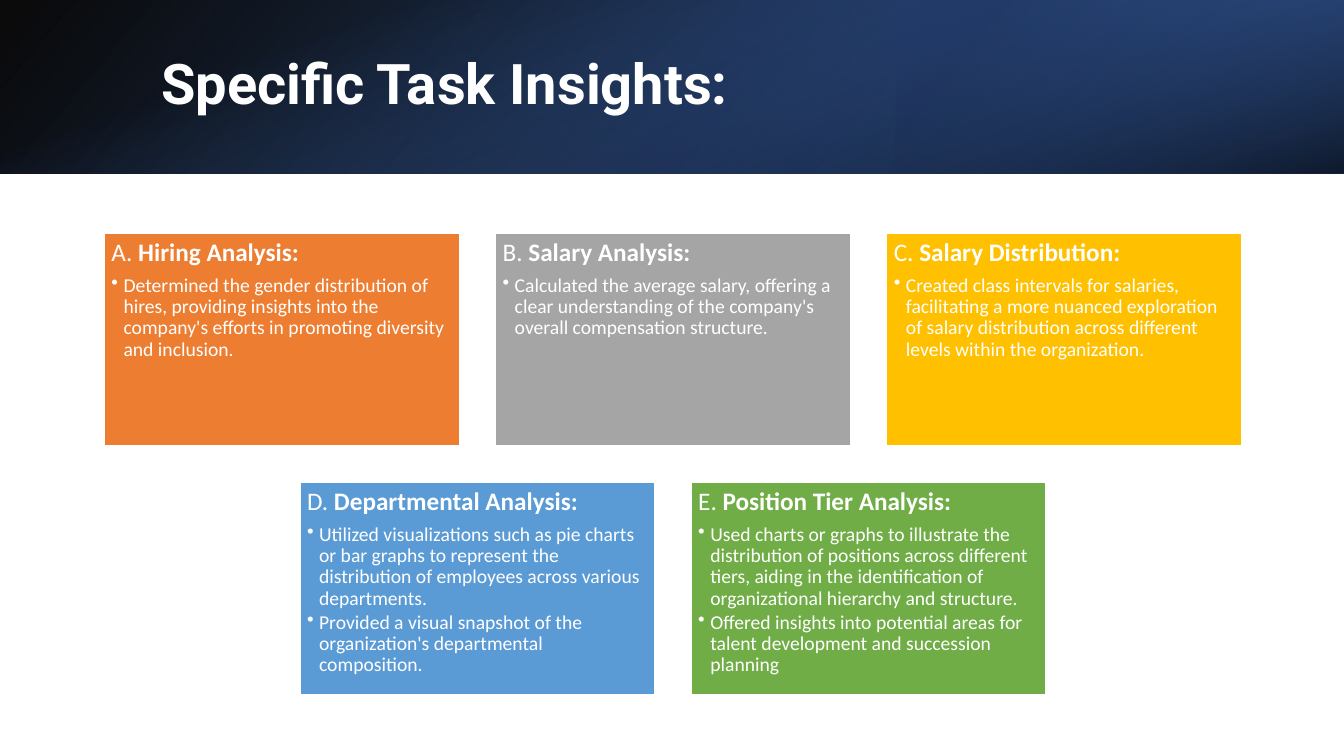
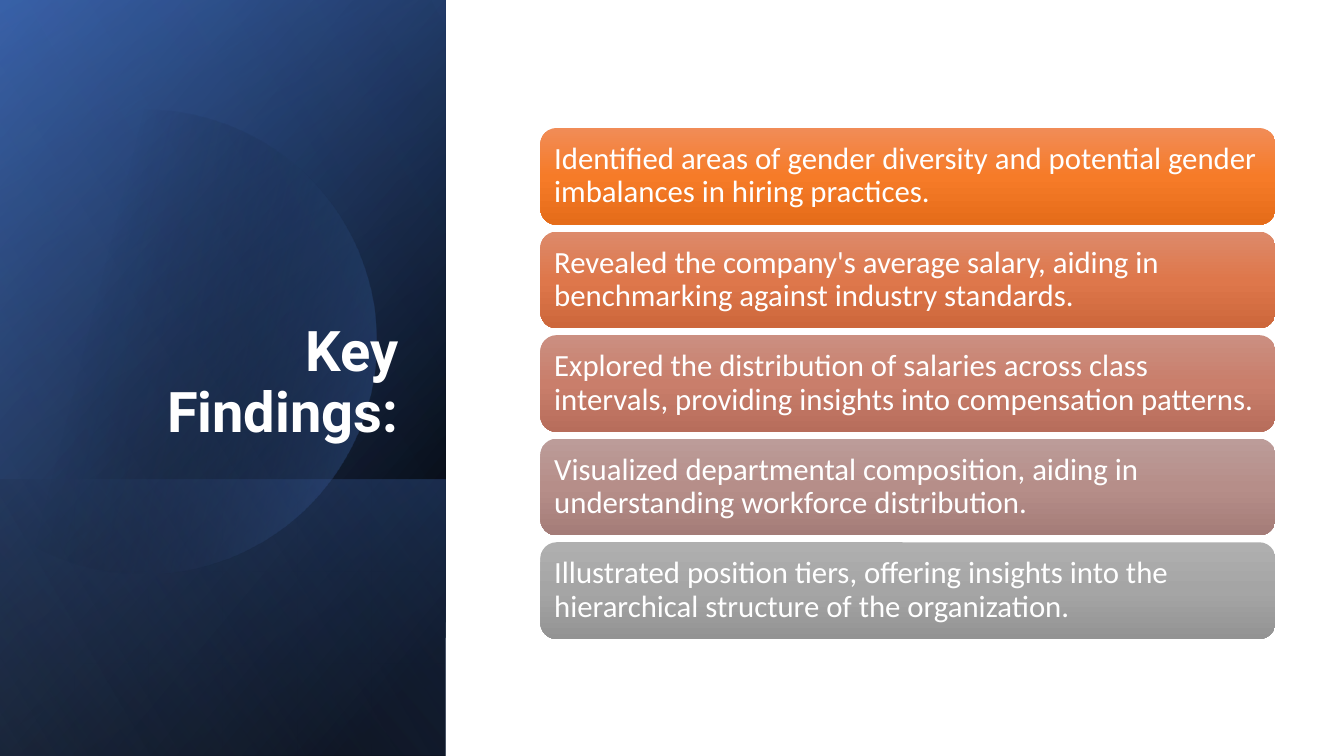
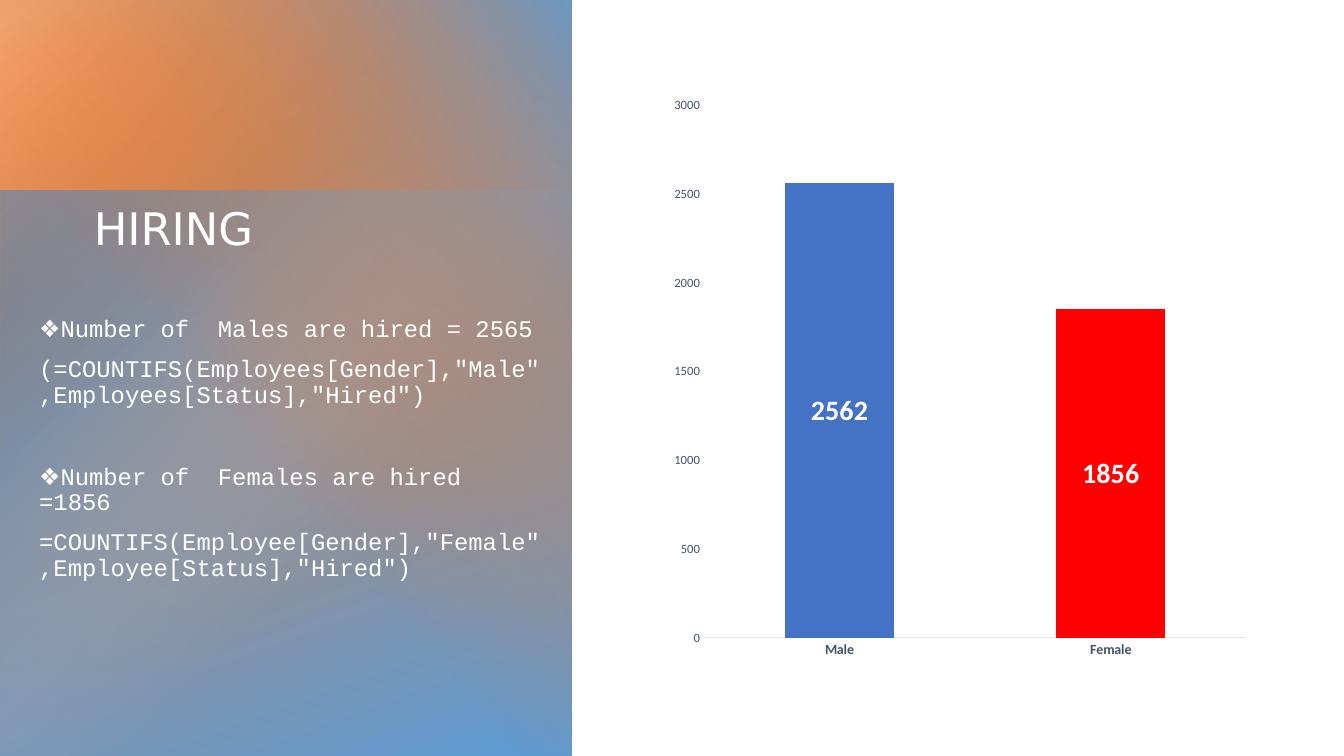
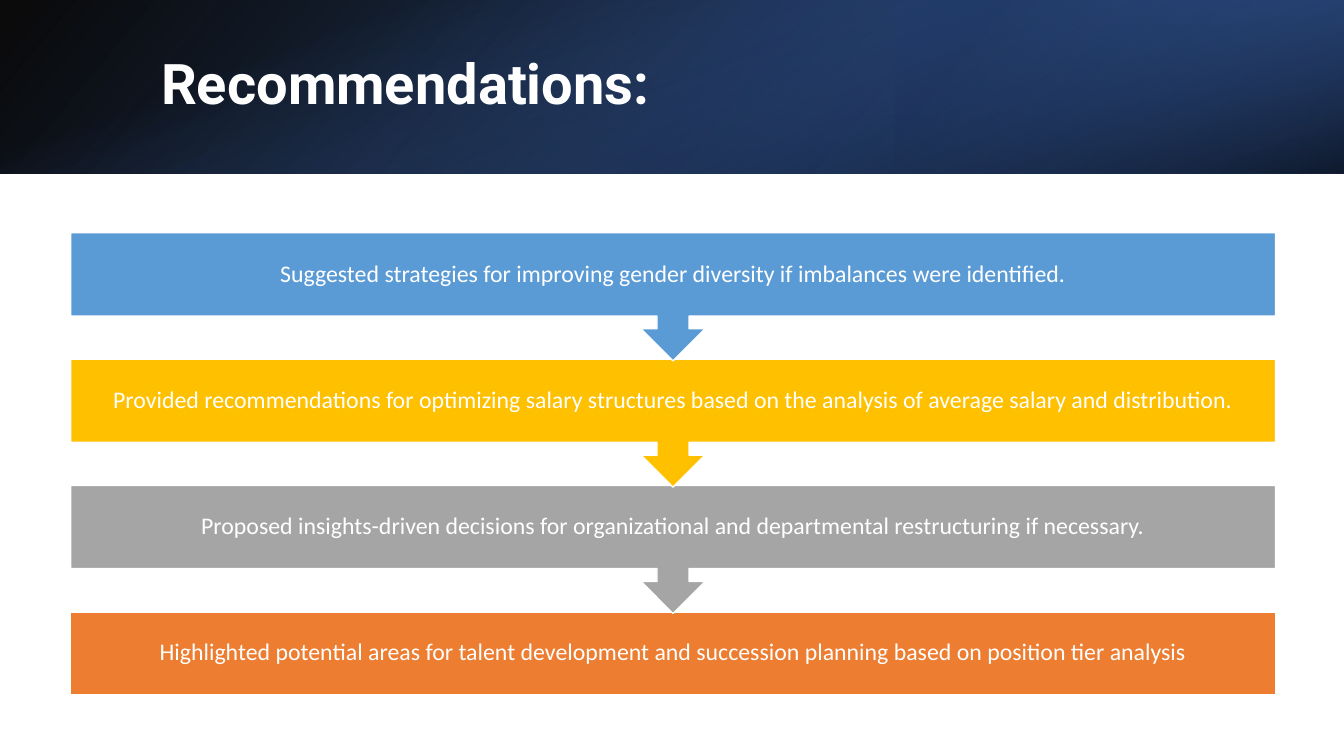
from math import acos, cos, pi, sin

from pptx import Presentation
from pptx.chart.data import CategoryChartData
from pptx.dml.color import RGBColor
from pptx.enum.chart import XL_CHART_TYPE, XL_LABEL_POSITION, XL_TICK_MARK
from pptx.enum.shapes import MSO_SHAPE as SHAPE
from pptx.enum.text import MSO_ANCHOR as ANCHOR, MSO_AUTO_SIZE, PP_ALIGN as ALIGN
from pptx.oxml import parse_xml
from pptx.oxml.ns import nsdecls, qn
from pptx.util import Inches, Pt

SLIDE_W, SLIDE_H = 13.33, 7.5
HEADER_H = 1.72
SIDE_W = 4.42
HIRING_W = 5.67
TITLE_ONLY = 5

COLORS = {
    "white": "FFFFFF", "black": "000000", "red": "FF0000",
    "orange": "ED7D31", "peach": "F4B183", "gray": "A5A5A5", "gold": "FFC000",
    "blue": "4472C4", "sky": "5B9BD5", "green": "70AD47",
    "navy": "203864", "deep": "2F5597", "pale": "8FAADC",
    "steel": "2E75B6", "ice": "9DC3E6", "slate": "44546A", "rule": "E0E5EB",
}
BODY_FONT, TITLE_FONT, CODE_FONT = "Calibri", "Roboto", "Courier New"


def rgb(name):
    return RGBColor.from_string(COLORS[name])


def set_gradient(sp, stops, angle=None):
    """Fill with (position, hex, alpha) stops; no angle means a circle from the top left."""
    sp.shadow.inherit = False
    sp.line.fill.background()
    sp.fill.background()
    gs = "".join(
        f'<a:gs pos="{pos * 1000}"><a:srgbClr val="{color}">'
        f'<a:alpha val="{alpha * 1000}"/></a:srgbClr></a:gs>'
        for pos, color, alpha in stops)
    if angle is None:
        course = '<a:path path="circle"><a:fillToRect r="100000" b="100000"/></a:path>'
    else:
        course = f'<a:lin ang="{angle * 60000}" scaled="0"/>'
    grad = parse_xml(f'<a:gradFill {nsdecls("a")} rotWithShape="1">'
                     f'<a:gsLst>{gs}</a:gsLst>{course}</a:gradFill>')
    sp_pr = sp.element.spPr
    sp_pr.replace(sp_pr.find(qn("a:noFill")), grad)


def add_panel(slide, box, stops, angle=None, rot=0, flip=False):
    """Add a gradient rectangle that covers box once it has been rotated."""
    x, y, w, h = box
    if rot % 180 == 90:
        x, y, w, h = x + (w - h) / 2, y + (h - w) / 2, h, w
    sp = slide.shapes.add_shape(SHAPE.RECTANGLE, *map(Inches, (x, y, w, h)))
    sp.rotation = rot
    if flip:
        sp.element.spPr.get_or_add_xfrm().set("flipH", "1")
    set_gradient(sp, [(pos, COLORS[c], alpha) for pos, c, alpha in stops], angle)


def add_block(slide, kind, box, color=None):
    sp = slide.shapes.add_shape(kind, *map(Inches, box))
    sp.shadow.inherit = False
    if color:
        sp.fill.solid()
        sp.fill.fore_color.rgb = rgb(color)
        sp.line.color.rgb = rgb("white")
        sp.line.width = Pt(1)
    return sp


def format_frame(tf, anchor, inset=None):
    tf.word_wrap = True
    tf.auto_size = MSO_AUTO_SIZE.NONE
    tf.vertical_anchor = anchor
    if inset is not None:
        tf.margin_left = tf.margin_top = tf.margin_right = tf.margin_bottom = Inches(inset)


def add_text(tf, runs, size, align=ALIGN.LEFT, before=0, after=0, bullet=None):
    """Add a white paragraph of (text, font, bold) runs."""
    p = tf.paragraphs[0] if not tf.paragraphs[0].runs else tf.add_paragraph()
    p.alignment = align
    p.line_spacing = 0.9
    p.space_before, p.space_after = Pt(before), Pt(after)
    if bullet:
        p_pr = p._p.get_or_add_pPr()
        p_pr.set("marL", str(Inches(0.12)))
        p_pr.set("indent", str(-Inches(0.12)))
        p_pr.append(parse_xml(f'<a:buChar {nsdecls("a")} char="{bullet}"/>'))
    for text, font, bold in runs:
        r = p.add_run()
        r.text = text
        r.font.name, r.font.size, r.font.bold = font, Pt(size), bold
        r.font.color.rgb = rgb("white")


def add_title(slide, text, box, size=40, font=TITLE_FONT, bold=True,
              anchor=ANCHOR.MIDDLE, align=ALIGN.LEFT):
    """Place the title placeholder above the panels drawn so far."""
    title = slide.shapes.title
    title.left, title.top, title.width, title.height = map(Inches, box)
    slide.shapes.element.append(title.element)
    format_frame(title.text_frame, anchor)
    add_text(title.text_frame, [(text, font, bold)], size, align)


def new_slide(prs):
    return prs.slides.add_slide(prs.slide_layouts[TITLE_ONLY])


def header_slide(prs, title):
    slide = new_slide(prs)
    band = (0, 0, SLIDE_W, HEADER_H)
    third = SLIDE_W / 3
    add_panel(slide, band, [(0, "black", 96), (100, "deep", 100)], 140, flip=True)
    add_panel(slide, (SLIDE_W - third, 0, third, HEADER_H),
              [(19, "navy", 68), (100, "blue", 79)], 320, rot=180, flip=True)
    add_panel(slide, band, [(23, "blue", 0), (99, "black", 74)], 340, rot=90)
    add_title(slide, title, (1.5, 0.38, 10.98, 0.96))
    return slide


def add_card(slide, box, color, letter, heading, points):
    tf = add_block(slide, SHAPE.RECTANGLE, box, color).text_frame
    format_frame(tf, ANCHOR.TOP, 0.07)
    add_text(tf, [(f"{letter}. ", BODY_FONT, False), (heading, BODY_FONT, True)], 18, after=6)
    for point in points:
        add_text(tf, [(point, BODY_FONT, False)], 14, after=2, bullet="•")


def add_card_rows(slide, box, rows):
    """Lay out rows of equal cards, each row centred in box."""
    x, y, w, h = box
    gap, card_w = 0.36, 3.52
    card_h = (h - gap * (len(rows) - 1)) / len(rows)
    for i, row in enumerate(rows):
        left = x + (w - len(row) * card_w - (len(row) - 1) * gap) / 2
        for j, card in enumerate(row):
            add_card(slide, (left + j * (card_w + gap), y + i * (card_h + gap), card_w, card_h),
                     *card)


def insights_slide(prs):
    slide = header_slide(prs, "Specific Task Insights:")
    add_card_rows(slide, (1.04, 2.31, 11.27, 4.58), [
        [("orange", "A", "Hiring Analysis:", [
            "Determined the gender distribution of hires, providing insights into the "
            "company's efforts in promoting diversity and inclusion."]),
         ("gray", "B", "Salary Analysis:", [
             "Calculated the average salary, offering a clear understanding of the "
             "company's overall compensation structure."]),
         ("gold", "C", "Salary Distribution:", [
             "Created class intervals for salaries, facilitating a more nuanced exploration "
             "of salary distribution across different levels within the organization."])],
        [("sky", "D", "Departmental Analysis:", [
            "Utilized visualizations such as pie charts or bar graphs to represent the "
            "distribution of employees across various departments.",
            "Provided a visual snapshot of the organization's departmental composition."]),
         ("green", "E", "Position Tier Analysis:", [
             "Used charts or graphs to illustrate the distribution of positions across "
             "different tiers, aiding in the identification of organizational hierarchy "
             "and structure.",
             "Offered insights into potential areas for talent development and succession "
             "planning"])],
    ])


def add_cut_circle(slide, cx, cy, radius):
    """Add a translucent circle cut off by the left edge of the slide."""
    end = acos(-cx / radius)
    steps = 120
    angles = [-end + 2 * end * i / steps for i in range(steps + 1)]
    points = [(Inches(cx + radius * cos(a)), Inches(cy + radius * sin(a))) for a in angles]
    builder = slide.shapes.build_freeform(*points[0])
    builder.add_line_segments(points[1:], close=True)
    set_gradient(builder.convert_to_shape(),
                 [(29, COLORS["black"], 0), (100, COLORS["blue"], 43)], 14)


def add_side_panel(slide, box):
    x, y, w, h = box
    foot = 2.74
    add_panel(slide, box, [(8, "black", 100), (100, "deep", 100)], 50, rot=90, flip=True)
    add_panel(slide, box, [(0, "black", 0), (99, "blue", 46)], 30, rot=90, flip=True)
    add_panel(slide, (x, y + h - foot, w, foot),
              [(2, "blue", 29), (100, "black", 30)], 130, rot=90, flip=True)
    add_cut_circle(slide, 1.43, 3.39, 2.3)
    add_panel(slide, box, [(0, "black", 0), (99, "pale", 11)], 120, rot=90, flip=True)


def add_findings(slide, box, findings):
    x, y, w, h = box
    bar_h = 0.96
    pitch = (h - bar_h) / (len(findings) - 1)
    for i, (shades, text) in enumerate(findings):
        sp = add_block(slide, SHAPE.ROUNDED_RECTANGLE, (x, y + i * pitch, w, bar_h))
        set_gradient(sp, [(pos, c, 100) for pos, c in zip((0, 50, 100), shades)], 90)
        format_frame(sp.text_frame, ANCHOR.MIDDLE, 0.09)
        add_text(sp.text_frame, [(text, BODY_FONT, False)], 22)


def findings_slide(prs):
    slide = new_slide(prs)
    add_side_panel(slide, (0, 0, SIDE_W, SLIDE_H))
    add_title(slide, "Key Findings:", (0.64, 1.84, 3.41, 2.62),
              anchor=ANCHOR.BOTTOM, align=ALIGN.RIGHT)
    add_findings(slide, (5.36, 1.27, 7.29, 5.07), [
        (("F18C57", "F67B28", "E56C19"),
         "Identified areas of gender diversity and potential gender imbalances in hiring "
         "practices."),
        (("DD8A6A", "DE774B", "CD673B"),
         "Revealed the company's average salary, aiding in benchmarking against industry "
         "standards."),
        (("CB8F81", "C97E6B", "B76D5B"),
         "Explored the distribution of salaries across class intervals, providing insights "
         "into compensation patterns."),
        (("BC9C99", "B68E89", "A47C78"),
         "Visualized departmental composition, aiding in understanding workforce "
         "distribution."),
        (("AFAFAF", "A5A5A5", "939393"),
         "Illustrated position tiers, offering insights into the hierarchical structure of "
         "the organization."),
    ])


def add_warm_panel(slide, box):
    x, y, w, h = box
    top = 1.89
    add_panel(slide, box, [(7, "orange", 100), (100, "sky", 100)], 70)
    add_panel(slide, (x, y + top, w, h - top),
              [(0, "steel", 100), (60, "ice", 0)], rot=180)
    add_panel(slide, (x, y, 4.17, h), [(3, "peach", 78), (42, "orange", 0)], 50)
    add_panel(slide, box, [(0, "sky", 86), (57, "orange", 0)], 230, rot=270)


def add_formulas(slide, box, entries):
    tf = slide.shapes.add_textbox(*map(Inches, box)).text_frame
    format_frame(tf, ANCHOR.TOP)
    for i, (label, formula) in enumerate(entries):
        add_text(tf, [("❖", "Arial", False), (label, CODE_FONT, False)], 17,
                 before=40 if i else 0)
        add_text(tf, [(formula, CODE_FONT, False)], 17, before=10)


def format_font(font, size, color, bold=False):
    font.name, font.size, font.bold = BODY_FONT, Pt(size), bold
    font.color.rgb = rgb(color)


def add_hiring_chart(slide, box):
    data = CategoryChartData()
    data.categories = ["Male", "Female"]
    data.add_series("Series 1", (2562, 1856))
    chart = slide.shapes.add_chart(XL_CHART_TYPE.COLUMN_STACKED, *map(Inches, box), data).chart
    chart.has_legend = chart.has_title = False
    format_font(chart.font, 10, "black")

    cat_axis, val_axis = chart.category_axis, chart.value_axis
    for axis in (cat_axis, val_axis):
        axis.has_major_gridlines = False
        axis.major_tick_mark = axis.minor_tick_mark = XL_TICK_MARK.NONE
    format_font(cat_axis.tick_labels.font, 10, "slate", True)
    cat_axis.format.line.color.rgb = rgb("rule")
    cat_axis.format.line.width = Pt(0.75)
    format_font(val_axis.tick_labels.font, 9, "slate")
    val_axis.format.line.fill.background()
    val_axis.minimum_scale, val_axis.maximum_scale, val_axis.major_unit = 0, 3000, 500

    plot = chart.plots[0]
    plot.gap_width, plot.overlap, plot.vary_by_categories = 150, 100, False
    series = plot.series[0]
    for i, color in enumerate(("blue", "red")):
        fill = series.points[i].format.fill
        fill.solid()
        fill.fore_color.rgb = rgb(color)
    labels = series.data_labels
    labels.show_value = True
    labels.position = XL_LABEL_POSITION.CENTER
    format_font(labels.font, 20, "white", True)


def hiring_slide(prs):
    slide = new_slide(prs)
    add_warm_panel(slide, (0, 0, HIRING_W, SLIDE_H))
    add_title(slide, "HIRING", (0.83, 0.81, 4.05, 1.77), size=32, font="DejaVu Sans",
              bold=False, anchor=ANCHOR.BOTTOM)
    add_formulas(slide, (0.29, 3.1, 5.19, 3.44), [
        ("Number of  Males are hired = 2565",
         '(=COUNTIFS(Employees[Gender],"Male",Employees[Status],"Hired")'),
        ("Number of  Females are hired =1856",
         '=COUNTIFS(Employee[Gender],"Female",Employee[Status],"Hired")'),
    ])
    add_hiring_chart(slide, (6.57, 0.86, 5.91, 5.78))


def add_steps(slide, box, steps):
    """Stack steps from the bottom up, so each arrow tip lies over the next step."""
    x, y, w, h = box
    bar_h, callout_h = 0.82, 1.27
    last = len(steps) - 1
    pitch = (h - bar_h) / last
    for i, (color, text) in reversed(list(enumerate(steps))):
        kind, step_h = ((SHAPE.RECTANGLE, bar_h) if i == last
                        else (SHAPE.DOWN_ARROW_CALLOUT, callout_h))
        tf = add_block(slide, kind, (x, y + i * pitch, w, step_h), color).text_frame
        format_frame(tf, ANCHOR.MIDDLE, 0.13)
        add_text(tf, [(text, BODY_FONT, False)], 17, ALIGN.CENTER)


def recommendations_slide(prs):
    slide = header_slide(prs, "Recommendations:")
    add_steps(slide, (0.7, 2.31, 11.95, 4.58), [
        ("sky", "Suggested strategies for improving gender diversity if imbalances were "
                "identified."),
        ("gold", "Provided recommendations for optimizing salary structures based on the "
                 "analysis of average salary and distribution."),
        ("gray", "Proposed insights-driven decisions for organizational and departmental "
                 "restructuring if necessary."),
        ("orange", "Highlighted potential areas for talent development and succession "
                   "planning based on position tier analysis"),
    ])


def main():
    prs = Presentation()
    prs.slide_width, prs.slide_height = Inches(SLIDE_W), Inches(SLIDE_H)
    for build in (insights_slide, findings_slide, hiring_slide, recommendations_slide):
        build(prs)
    prs.save("out.pptx")


if __name__ == "__main__":
    main()
